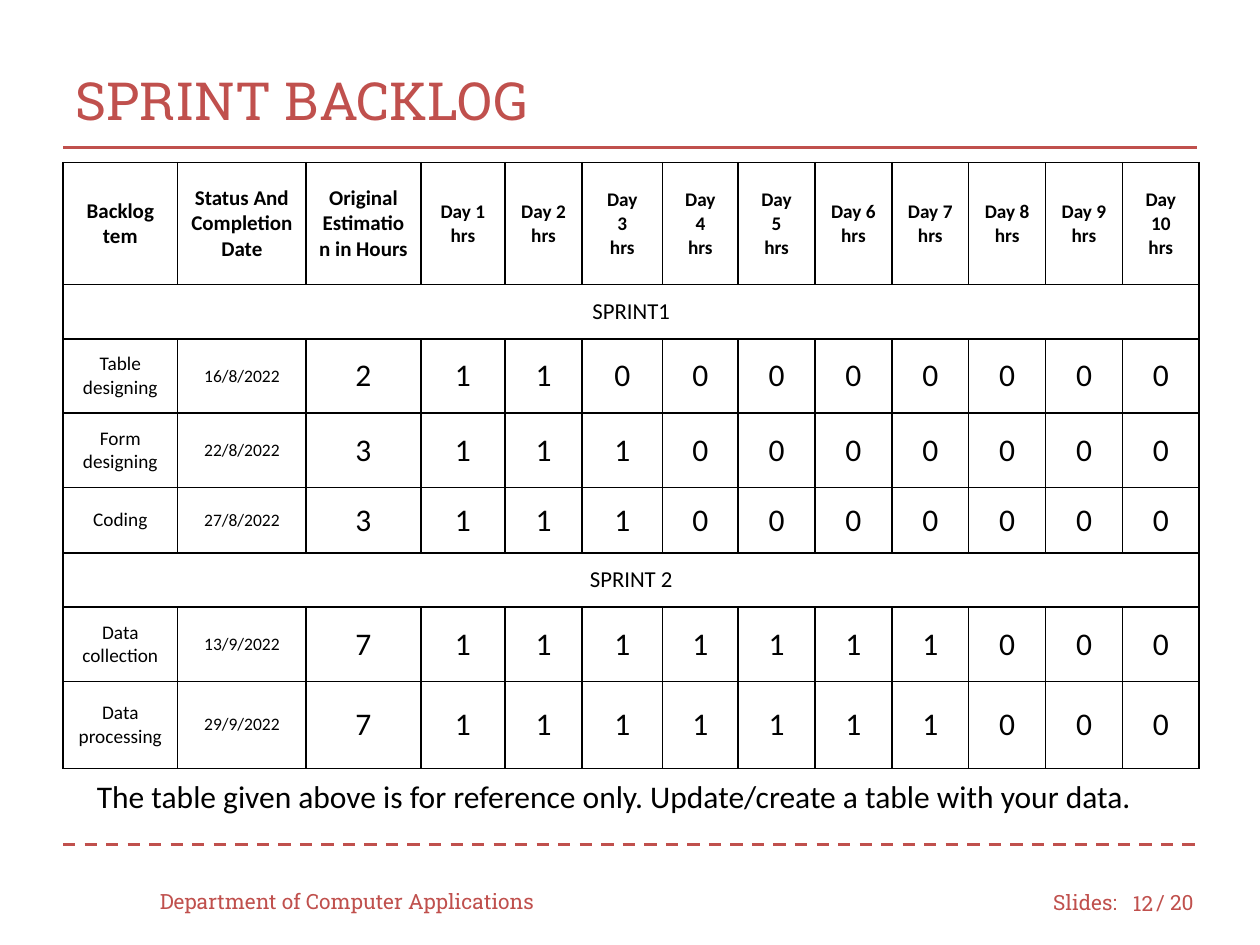
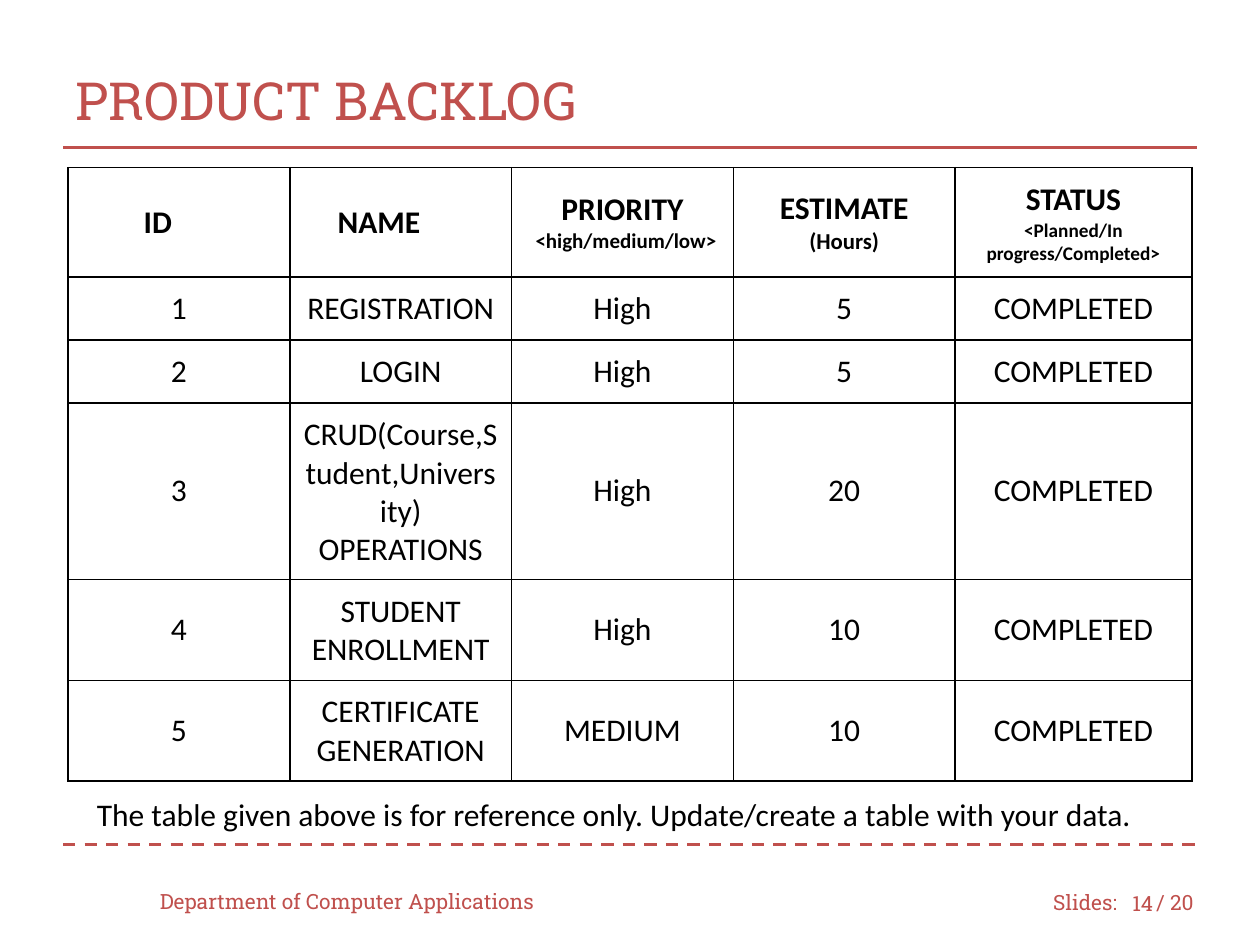
from lxml import etree
from pptx import Presentation
from pptx.dml.color import RGBColor
from pptx.enum import dml, shapes, text
from pptx.oxml import ns
from pptx.util import Inches, Pt

COLOURS = {"accent": "C0504D", "ink": "000000", "paper": "FFFFFF"}
HEADING_FONT, BODY_FONT = "Roboto Slab", "Calibri"
LEFT, CENTER, RIGHT = text.PP_ALIGN.LEFT, text.PP_ALIGN.CENTER, text.PP_ALIGN.RIGHT
MIDDLE, TOP = text.MSO_ANCHOR.MIDDLE, text.MSO_ANCHOR.TOP
NOTE = "The table given above is for reference only. Update/create a table with your data."


def colour(name):
    return RGBColor.from_string(COLOURS[name])


class Builder:
    """Holds the deck, its style and the current page."""

    def __init__(self):
        self.deck = Presentation()
        self.deck.slide_width, self.deck.slide_height = Inches(10), Inches(7.5)
        self.page = None

    def style_para(self, para, size, font=BODY_FONT, ink="ink", bold=False, align=LEFT):
        para.alignment = align
        for span in para.runs:
            span.font.size, span.font.name, span.font.bold = Pt(size), font, bold
            span.font.color.rgb = colour(ink)

    def new_page(self, title, number):
        self.page = self.deck.slides.add_slide(self.deck.slide_layouts[5])
        self.rule(6.7, dashed=True)
        self.rule(1.17)
        self.title(title)
        # Footer
        self.footer("Department of Computer Applications", 1.17, 6.95, 3.33)
        self.footer("Slides:", 8.26, 6.96, 0.75)
        self.footer(number, 8.83, 6.97, 0.42, RIGHT)
        self.footer("/ 20", 9.08, 6.96, 0.58)

    def title(self, words):
        box = self.page.shapes.title
        box.left, box.top = Inches(0.5), Inches(0.33)
        box.width, box.height = Inches(9), Inches(0.92)
        box.text_frame.text = words
        box.text_frame.vertical_anchor = MIDDLE
        self.style_para(box.text_frame.paragraphs[0], 30, HEADING_FONT, "accent")

    def rule(self, y, dashed=False):
        line = self.page.shapes.add_connector(
            shapes.MSO_CONNECTOR.STRAIGHT, Inches(0.5), Inches(y), Inches(9.5), Inches(y))
        line.line.color.rgb = colour("accent")
        line.line.width = Pt(1.75)
        if dashed:
            line.line.dash_style = dml.MSO_LINE.DASH
        etree.SubElement(line._element.spPr, ns.qn("a:effectLst"))

    def text_box(self, words, left, top, width, anchor=TOP):
        box = self.page.shapes.add_textbox(
            Inches(left), Inches(top), Inches(width), Inches(0.4))
        box.text_frame.word_wrap = True
        box.text_frame.vertical_anchor = anchor
        box.text_frame.text = words
        return box.text_frame.paragraphs[0]

    def footer(self, words, left, top, width, align=LEFT):
        para = self.text_box(words, left, top, width, MIDDLE)
        self.style_para(para, 12, HEADING_FONT, "accent", align=align)

    def note(self, top):
        self.style_para(self.text_box(NOTE, 0.67, top, 8.58), 18)

    def table(self, left, top, widths, heights):
        frame = self.page.shapes.add_table(
            len(heights), len(widths), Inches(left), Inches(top),
            Inches(sum(widths)), Inches(sum(heights)))
        grid = frame.table
        grid.first_row = grid.horz_banding = False
        for column, width in zip(grid.columns, widths):
            column.width = Inches(width)
        for row, height in zip(grid.rows, heights):
            row.height = Inches(height)
        for cell in grid.iter_cells():
            self.border(cell)
            cell.fill.solid()
            cell.fill.fore_color.rgb = colour("paper")
            cell.vertical_anchor = MIDDLE
            cell.margin_left = cell.margin_right = Inches(0.1)
            cell.margin_top = cell.margin_bottom = Inches(0.1)
        return grid

    def border(self, cell):
        properties = cell._tc.get_or_add_tcPr()
        for side in ("lnL", "lnR", "lnT", "lnB"):
            edge = etree.SubElement(properties, ns.qn(f"a:{side}"), w=str(Pt(1)))
            fill = etree.SubElement(edge, ns.qn("a:solidFill"))
            etree.SubElement(fill, ns.qn("a:srgbClr"), val=COLOURS["ink"])

    def fill_cell(self, cell, words, *sizes, bold=False):
        """Put text in a cell; the last size serves all remaining paragraphs."""
        cell.text_frame.text = words
        for index, para in enumerate(cell.text_frame.paragraphs):
            size = sizes[min(index, len(sizes) - 1)]
            self.style_para(para, size, bold=bold, align=CENTER)

    def indent(self, para, inches):
        para.alignment = LEFT
        para._p.get_or_add_pPr().set("marL", str(Inches(inches)))


def sprint_backlog(builder):
    builder.new_page("SPRINT BACKLOG", "12")
    widths = [0.91, 1.02, 0.91, 0.67, 0.61, 0.64, 0.6] + [0.61] * 6
    heights = [0.97, 0.43, 0.59, 0.59, 0.52, 0.43, 0.59, 0.69]
    grid = builder.table(0.5, 1.29, widths, heights)

    # Header: days 3 to 5 take three lines
    header = ["Backlog tem", "Status And Completion Date", "Original Estimation in Hours"]
    for day in range(1, 11):
        gap = "\n" if day in (3, 4, 5) else " "
        header.append(f"Day{gap}{day}\nhrs")
    for column, words in enumerate(header):
        builder.fill_cell(grid.cell(0, column), words, 12 if column < 3 else 11, bold=True)

    # Tasks: name, date, estimate, days worked at one hour each
    rows = [
        ("SPRINT1",),
        ("Table designing", "16/8/2022", 2, 2),
        ("Form designing", "22/8/2022", 3, 3),
        ("Coding", "27/8/2022", 3, 3),
        ("SPRINT 2",),
        ("Data collection", "13/9/2022", 7, 7),
        ("Data processing", "29/9/2022", 7, 7),
    ]
    sizes = [11, 10] + [18] * 11
    for row, (name, *task) in enumerate(rows, 1):
        if not task:
            grid.cell(row, 0).merge(grid.cell(row, len(widths) - 1))
            builder.fill_cell(grid.cell(row, 0), name, 13)
            continue
        date, estimate, worked = task
        hours = [1] * worked + [0] * (10 - worked)
        for column, value in enumerate([name, date, estimate, *hours]):
            builder.fill_cell(grid.cell(row, column), str(value), sizes[column])
    builder.note(6.12)


def product_backlog(builder):
    builder.new_page("PRODUCT BACKLOG", "14")
    grid = builder.table(0.54, 1.33, [1.76] * 4 + [1.88],
                         [0.79, 0.47, 0.47, 0.89, 0.66, 0.66])

    # Header: label above a smaller hint
    header = [("ID", 18), ("NAME", 18), ("PRIORITY\n<high/medium/low>", 12),
              ("ESTIMATE\n(Hours)", 13), ("STATUS\n<Planned/In progress/Completed>", 11)]
    for column, (words, hint_size) in enumerate(header):
        builder.fill_cell(grid.cell(0, column), words, 18, hint_size, bold=True)
    for column, inches in enumerate([0.5, 0.28, 0.09]):
        builder.indent(grid.cell(0, column).text_frame.paragraphs[-1], inches)

    # Items
    items = [
        ("REGISTRATION", "High", 5),
        ("LOGIN", "High", 5),
        ("CRUD(Course,Student,University)\nOPERATIONS", "High", 20),
        ("STUDENT ENROLLMENT", "High", 10),
        ("CERTIFICATE GENERATION", "MEDIUM", 10),
    ]
    for row, item in enumerate(items, 1):
        for column, value in enumerate([row, *item, "COMPLETED"]):
            builder.fill_cell(grid.cell(row, column), str(value), 18)
    builder.note(6.26)


def main():
    builder = Builder()
    sprint_backlog(builder)
    product_backlog(builder)
    builder.deck.save("out.pptx")


if __name__ == "__main__":
    main()
